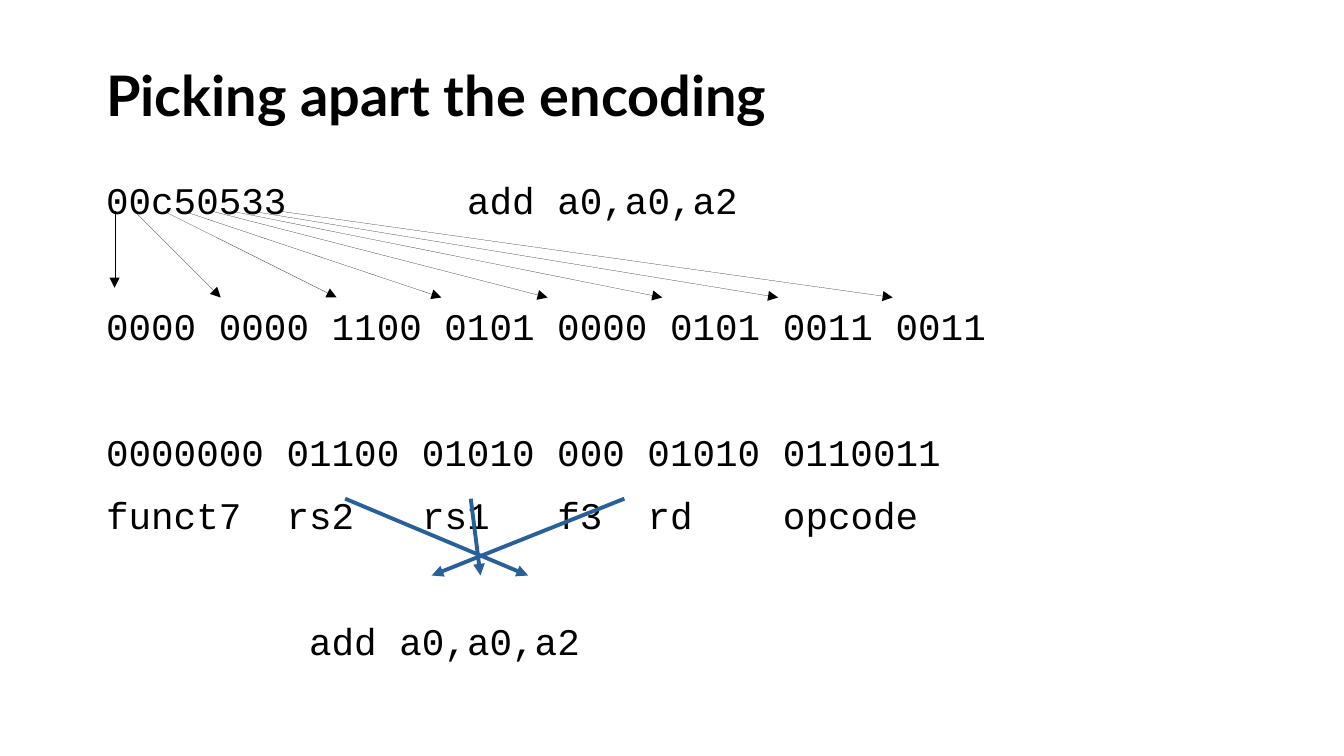
from pptx import Presentation
from pptx.dml.color import RGBColor
from pptx.enum.shapes import MSO_CONNECTOR
from pptx.enum.text import MSO_ANCHOR, MSO_AUTO_SIZE, PP_ALIGN
from pptx.oxml.ns import qn
from pptx.util import Inches, Pt
from lxml.etree import SubElement

BLACK, BLUE = "000000", "2A6099"
CODE_SIZE = 22.2
CHAR = CODE_SIZE * 0.6 / 72  # width of one monospaced character, inches
GAP, ROW = 10.6, 37.2  # points between lines, and from one line to the next

# Text, tab stops and indent in characters, number of empty rows above
CODE_LINES = [
    ("00c50533\tadd a0,a0,a2", [16], 0, 0),
    ("0000 0000 1100 0101 0000 0101 0011 0011", [], 0, 1),
    ("0000000 01100 01010 000 01010 0110011", [], 0, 1),
    ("funct7\trs2\trs1\tf3\trd\topcode", [8, 14, 20, 24, 30], 0, 0),
    ("add a0,a0,a2", [], 9, 1),
]
HEX_DIGIT_X = [0.94, 1.1, 1.34, 1.5, 1.73, 1.89, 2.05, 2.28]
NIBBLE_X = [0.94, 1.81, 2.76, 3.62, 4.49, 5.43, 6.38, 7.32]
REGISTER_ARROWS = [(2.83, 4.33), (5.12, 3.54), (3.86, 3.94)]


def color(hex_code):
    return RGBColor.from_string(hex_code)


def set_font(p, name, size, bold=False):
    for r in p.runs:
        r.font.name = name
        r.font.size = Pt(size)
        r.font.bold = bold
        r.font.color.rgb = color(BLACK)


def set_frame(tf, anchor):
    tf.word_wrap = True
    tf.auto_size = MSO_AUTO_SIZE.NONE
    tf.vertical_anchor = anchor
    tf.margin_left = tf.margin_right = tf.margin_top = tf.margin_bottom = 0


def add_title(s, text):
    sp = s.shapes.title
    sp.left, sp.top = Inches(0.87), Inches(0.25)
    sp.width, sp.height = Inches(9.61), Inches(1.04)
    tf = sp.text_frame
    set_frame(tf, MSO_ANCHOR.MIDDLE)
    tf.text = text
    p = tf.paragraphs[0]
    p.alignment = PP_ALIGN.LEFT
    set_font(p, "Lato", 33, bold=True)


def set_indent_and_tabs(p, indent, stops):
    pPr = p._p.get_or_add_pPr()
    if indent:
        pPr.set("marL", str(Inches(indent * CHAR)))
    if stops:
        tabs = SubElement(pPr, qn("a:tabLst"))
        for stop in stops:
            SubElement(tabs, qn("a:tab"), pos=str(Inches(stop * CHAR)), algn="l")


def add_code(s):
    sp = s.shapes.add_textbox(Inches(0.87), Inches(1.45), Inches(9.61), Inches(3.6))
    tf = sp.text_frame
    set_frame(tf, MSO_ANCHOR.TOP)
    for i, (text, stops, indent, skipped) in enumerate(CODE_LINES):
        p = tf.add_paragraph() if i else tf.paragraphs[0]
        p.text = text
        set_indent_and_tabs(p, indent, stops)
        p.alignment = PP_ALIGN.LEFT
        p.space_before = Pt(GAP + skipped * ROW if i else 0)
        set_font(p, "Courier New", CODE_SIZE)


def add_arrow(s, x1, y1, x2, y2, hex_code, width):
    c = s.shapes.add_connector(MSO_CONNECTOR.STRAIGHT, Inches(x1), Inches(y1),
                               Inches(x2), Inches(y2))
    c.line.color.rgb = color(hex_code)
    ln = c.line._get_or_add_ln()
    ln.set("w", str(Pt(width)))  # a hairline needs its zero written out
    SubElement(ln, qn("a:tailEnd"), type="triangle")
    SubElement(c._element.spPr, qn("a:effectLst"))


def main():
    prs = Presentation()
    prs.slide_width, prs.slide_height = Inches(11.02), Inches(6.2)
    s = prs.slides.add_slide(prs.slide_layouts[5])
    add_title(s, "Picking apart the encoding")
    add_code(s)
    for i, (x1, x2) in enumerate(zip(HEX_DIGIT_X, NIBBLE_X)):
        add_arrow(s, x1, 1.73, x2, 2.44 if i else 2.36, BLACK, 0)
    for x1, x2 in REGISTER_ARROWS:
        add_arrow(s, x1, 4.09, x2, 4.72, BLUE, 2.3)
    prs.save("out.pptx")


if __name__ == "__main__":
    main()
